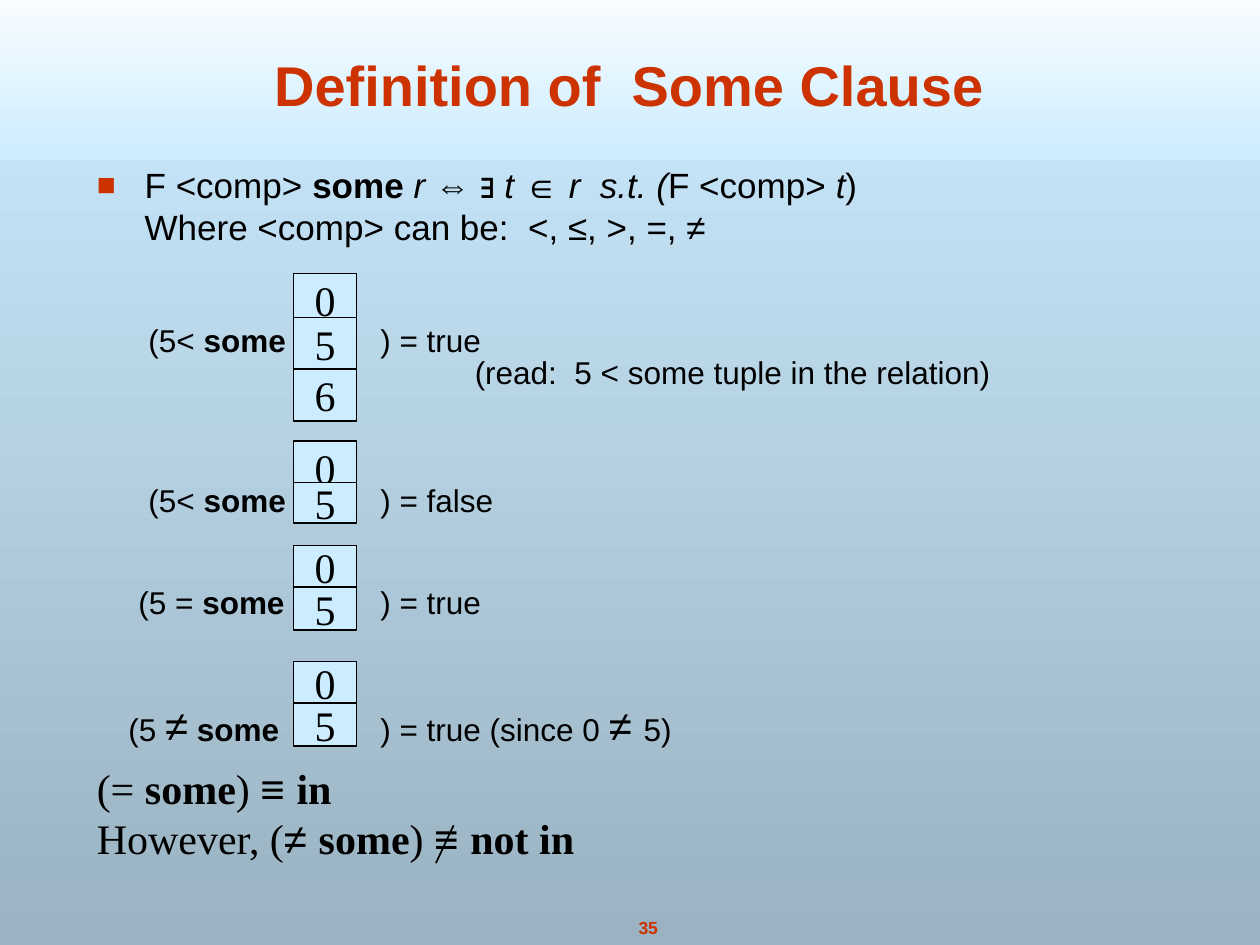
import pptx
import pptx.dml.color
import pptx.enum.shapes
import pptx.enum.text
import pptx.oxml
import pptx.oxml.ns
import pptx.util

Inches = pptx.util.Inches
Pt = pptx.util.Pt
ALIGN = pptx.enum.text.PP_ALIGN
ANCHOR = pptx.enum.text.MSO_ANCHOR
BOLD = {"bold": True}
ITALIC = {"italic": True}
ARIAL = {"name": "Arial"}
BIG = {"size": Pt(24)}


def rgb(value):
    return pptx.dml.color.RGBColor.from_string(value)


class Deck:
    accent = "CC3300"
    ink = "000000"
    pale = "CCECFF"
    deep = "9AB2C1"

    def __init__(self, prs):
        self.slide = prs.slides.add_slide(prs.slide_layouts[6])
        self.shapes = self.slide.shapes

    def gradient(self, fill, colors):
        fill.gradient()
        fill.gradient_angle = 270
        for stop, position, color in zip(fill.gradient_stops, (0, 1), colors):
            stop.position = position
            stop.color.rgb = rgb(color)

    def rect(self, x, y, w, h):
        kind = pptx.enum.shapes.MSO_SHAPE.RECTANGLE
        sp = self.shapes.add_shape(kind, Inches(x), Inches(y), Inches(w), Inches(h))
        sp.shadow.inherit = False
        return sp

    def band(self, x, y, w, h):
        sp = self.rect(x, y, w, h)
        self.gradient(sp.fill, ("FFFFFF", self.pale))
        sp.line.fill.background()

    def fill_text(self, tf, paragraphs, size, font="Arial", color=ink, bold=False,
                  align=ALIGN.LEFT, anchor=ANCHOR.TOP, wrap=True):
        tf.word_wrap = wrap
        tf.vertical_anchor = anchor
        base = {"name": font, "size": Pt(size), "bold": bold}
        for i, runs in enumerate(paragraphs):
            p = tf.add_paragraph() if i else tf.paragraphs[0]
            p.alignment = align
            for text, *styles in runs:
                if text == "\n":
                    p.add_line_break()
                    continue
                r = p.add_run()
                r.text = text
                r.font.color.rgb = rgb(color)
                for style in (base, *styles):
                    for key, value in style.items():
                        setattr(r.font, key, value)

    def text(self, x, y, w, h, paragraphs, size=18, **style):
        sp = self.shapes.add_textbox(Inches(x), Inches(y), Inches(w), Inches(h))
        self.fill_text(sp.text_frame, paragraphs, size, **style)
        return sp

    def bullet(self, p):
        pPr = p._p.get_or_add_pPr()
        pPr.set("marL", str(Inches(0.38)))
        pPr.set("indent", str(Inches(-0.38)))
        ns = pptx.oxml.ns.nsdecls("a")
        for xml in (
            f'<a:buClr {ns}><a:srgbClr val="{self.accent}"/></a:buClr>',
            f'<a:buSzPct {ns} val="90000"/>',
            f'<a:buFont {ns} typeface="Arial"/>',
            f'<a:buChar {ns} char="■"/>',
        ):
            pPr.append(pptx.oxml.parse_xml(xml))

    def cell(self, y, h, value):
        sp = self.rect(2.33, y, 0.5, h)
        sp.fill.solid()
        sp.fill.fore_color.rgb = rgb(self.pale)
        sp.line.color.rgb = rgb(self.ink)
        sp.line.width = Pt(1)
        self.fill_text(sp.text_frame, [[(value,)]], 24, font="Times New Roman",
                       align=ALIGN.CENTER, anchor=ANCHOR.MIDDLE, wrap=False)

    def line(self, x1, y1, x2, y2):
        kind = pptx.enum.shapes.MSO_CONNECTOR.STRAIGHT
        cx = self.shapes.add_connector(kind, Inches(x1), Inches(y1), Inches(x2), Inches(y2))
        cx.line.color.rgb = rgb(self.ink)
        cx.line.width = Pt(1)
        ns = pptx.oxml.ns.nsdecls("a")
        cx._element.spPr.append(pptx.oxml.parse_xml(f"<a:effectLst {ns}/>"))


def main():
    prs = pptx.Presentation()
    prs.slide_width, prs.slide_height = Inches(10), Inches(7.5)
    deck = Deck(prs)
    deck.gradient(deck.slide.background.fill, (deck.pale, deck.deep))
    deck.band(0, -0.17, 10, 1.44)

    heading = {"color": deck.accent, "bold": True, "align": ALIGN.CENTER}
    deck.text(4.71, 7.23, 0.87, 0.27, [[("35",)]], 10, wrap=False, **heading)
    deck.text(0.58, 0.31, 8.83, 0.67, [[("Definition of  Some Clause",)]], 32,
              anchor=ANCHOR.BOTTOM, **heading)

    definition = [
        ("F <comp> ",), ("some ", BOLD), ("r ", ITALIC), ("⇔ ∃ ",), ("t ", ITALIC),
        ("∈ ",), ("r  s.t. (", ITALIC), ("F <comp> ",), ("t", ITALIC), (")",),
        ("\n",), ("Where <comp> can be:  <, ≤, >, =, ≠",),
    ]
    sp = deck.text(0.67, 1.25, 7.44, 0.78, [definition], 20)
    deck.bullet(sp.text_frame.paragraphs[0])

    some = ("some", BOLD)
    less = [("(5< ",), some]
    unequal = [("(5 ",), ("≠", BIG), (" ",), some]
    since = [(") = true (since 0 ",), ("≠ ", BIG), ("5)",)]
    examples = [
        (((2.17, 0.41, "0"), (2.52, 0.41, "5"), (2.93, 0.41, "6")),
         2.5, 0.4, 1.08, less, [(") = true",)]),
        (((3.5, 0.42, "0"), (3.83, 0.32, "5")),
         3.77, 0.4, 1.08, less, [(") = false",)]),
        (((4.33, 0.34, "0"), (4.66, 0.34, "5")),
         4.58, 0.4, 1, [("(5 = ",), some], [(") = true",)]),
        (((5.25, 0.34, "0"), (5.58, 0.34, "5")),
         5.5, 0.5, 0.92, unequal, since),
    ]
    for cells, y, h, x, condition, result in examples:
        for cell in cells:
            deck.cell(*cell)
        deck.text(x, y, 1.58, h, [condition])
        deck.text(2.92, y, 2.75, h, [result])
    deck.text(3.67, 2.75, 5.33, 0.4, [[("(read:  5 < some tuple in the relation)",)]])

    conclusions = [
        [("(= ",), some, (") ",), ("≡ ", ARIAL), ("in", BOLD)],
        [("However, (",), ("≠ ", ARIAL), some, (") ",), ("≡ ", ARIAL), ("not in", BOLD)],
    ]
    deck.text(0.67, 6, 7.44, 0.78, conclusions, 24, font="Times New Roman")
    deck.line(3.6, 6.55, 3.46, 6.85)
    prs.save("out.pptx")


if __name__ == "__main__":
    main()
